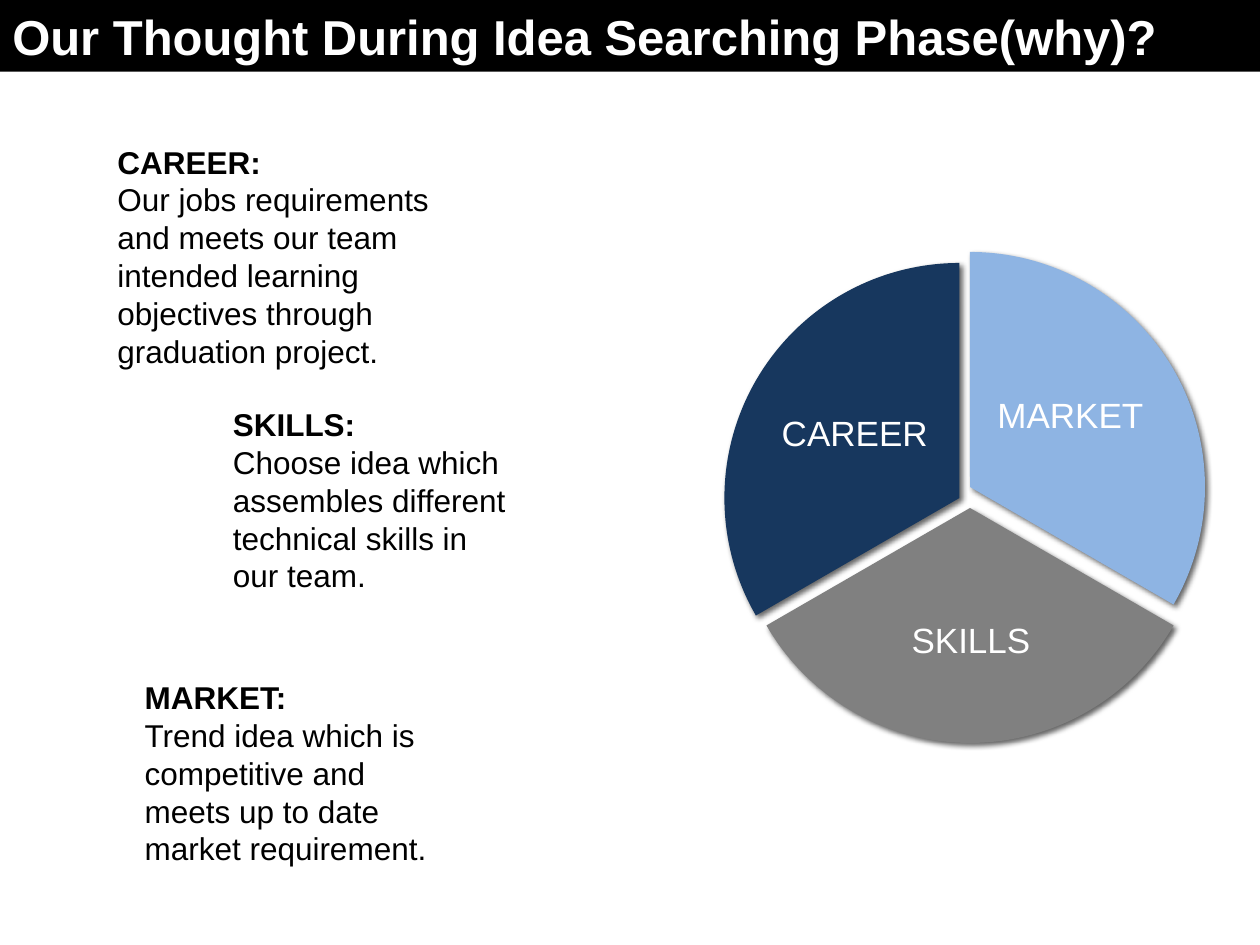
from dataclasses import dataclass

from lxml.etree import SubElement
from pptx import Presentation
from pptx.dml.color import RGBColor
from pptx.enum.shapes import MSO_SHAPE as SHAPE
from pptx.enum.text import MSO_ANCHOR as ANCHOR, PP_ALIGN as ALIGN
from pptx.oxml.ns import qn
from pptx.shapes.autoshape import Shape
from pptx.shapes.shapetree import GroupShapes, SlideShapes
from pptx.text.text import _Paragraph as Paragraph
from pptx.util import Pt

BLACK = RGBColor(0x00, 0x00, 0x00)
WHITE = RGBColor(0xFF, 0xFF, 0xFF)
LIGHT_BLUE = RGBColor(0x8E, 0xB4, 0xE3)
GRAY = RGBColor(0x80, 0x80, 0x80)
NAVY = RGBColor(0x17, 0x37, 0x5E)

PIE_SIZE = 268.6
LINE_FACTOR = 1.2
TITLE = {"size": Pt(28), "bold": True}
HEADING = {"size": Pt(18), "bold": True}
BODY = {"size": Pt(18), "bold": False}
LABEL = {"size": Pt(20), "bold": False}


@dataclass
class Box:
    left: float
    top: float
    width: float
    height: float

    def lengths(self) -> list[Pt]:
        return [Pt(v) for v in (self.left, self.top, self.width, self.height)]


@dataclass
class Slice:
    label: str
    color: RGBColor
    left: float
    top: float
    start: float
    end: float
    label_box: Box


@dataclass
class Note:
    heading: str
    body: str
    box: Box


SLICES = [
    Slice("MARKET", LIGHT_BLUE, 420, 144, 162, 18, Box(566, 193.7, 91.4, 89.3)),
    Slice("SKILLS", GRAY, 420, 156, 18, 90, Box(494, 325.4, 121.7, 83.5)),
    Slice("CAREER", NAVY, 414, 150.3, 90, 162, Box(442.8, 203.8, 91.4, 89.3)),
]
NOTES = [
    Note("CAREER:", "Our jobs requirements and meets our team intended learning "
         "objectives through graduation project.", Box(60, 78, 222, 136.8)),
    Note("SKILLS:", "Choose idea which assembles different technical skills in "
         "our team.", Box(126, 228, 174, 115.2)),
    Note("MARKET:", "Trend idea which is competitive and meets up to date "
         "market requirement.", Box(75.6, 384, 180, 115.2)),
]


def write(p: Paragraph, text: str, color: RGBColor, fmt: dict) -> None:
    r = p.add_run()
    r.text = text
    r.font.name = "Arial"
    r.font.color.rgb = color
    for name, value in fmt.items():
        setattr(r.font, name, value)


def set_line_height(p: Paragraph, fmt: dict) -> None:
    p.line_spacing = Pt(fmt["size"].pt * LINE_FACTOR)


def add_filled(shapes: SlideShapes | GroupShapes, kind: SHAPE, box: Box,
               color: RGBColor) -> Shape:
    sp = shapes.add_shape(kind, *box.lengths())
    sp.fill.solid()
    sp.fill.fore_color.rgb = color
    sp.line.fill.background()
    sp.shadow.inherit = False
    return sp


def add_soft_shadow(sp: Shape) -> None:
    effects = sp._element.spPr.find(qn("a:effectLst"))
    shadow = SubElement(effects, qn("a:outerShdw"), blurRad=str(Pt(3)),
                        dist=str(Pt(2)), dir="2700000", rotWithShape="0")
    color = SubElement(shadow, qn("a:srgbClr"), val=str(BLACK))
    SubElement(color, qn("a:alpha"), val="60000")


def add_title(shapes: SlideShapes, text: str) -> None:
    sp = add_filled(shapes, SHAPE.RECTANGLE, Box(0, 0, 720, 41), BLACK)
    tf = sp.text_frame
    tf.word_wrap = True
    tf.vertical_anchor = ANCHOR.TOP
    p = tf.paragraphs[0]
    p.alignment = ALIGN.LEFT
    set_line_height(p, TITLE)
    write(p, text, WHITE, TITLE)


def add_slice(shapes: GroupShapes, item: Slice) -> None:
    box = Box(item.left, item.top, PIE_SIZE, PIE_SIZE)
    sp = add_filled(shapes, SHAPE.PIE, box, item.color)
    sp.adjustments[0] = item.start
    sp.adjustments[1] = item.end
    add_soft_shadow(sp)

    tf = shapes.add_textbox(*item.label_box.lengths()).text_frame
    tf.word_wrap = True
    tf.vertical_anchor = ANCHOR.MIDDLE
    for side in ("left", "top", "right", "bottom"):
        setattr(tf, f"margin_{side}", Pt(2))
    p = tf.paragraphs[0]
    p.alignment = ALIGN.CENTER
    p.line_spacing = 0.9
    write(p, item.label, WHITE, LABEL)


def add_note(shapes: SlideShapes, note: Note) -> None:
    tf = shapes.add_textbox(*note.box.lengths()).text_frame
    tf.word_wrap = True
    heading, body = tf.paragraphs[0], tf.add_paragraph()
    for p, text, fmt in ((heading, note.heading, HEADING), (body, note.body, BODY)):
        set_line_height(p, fmt)
        write(p, text, BLACK, fmt)


def main() -> None:
    prs = Presentation()
    prs.slide_width, prs.slide_height = Pt(720), Pt(540)
    s = prs.slides.add_slide(prs.slide_layouts[6])
    add_title(s.shapes, "Our Thought During Idea Searching Phase(why)?")
    pie = s.shapes.add_group_shape()
    for item in SLICES:
        add_slice(pie.shapes, item)
    for note in NOTES:
        add_note(s.shapes, note)
    prs.save("out.pptx")


if __name__ == "__main__":
    main()
